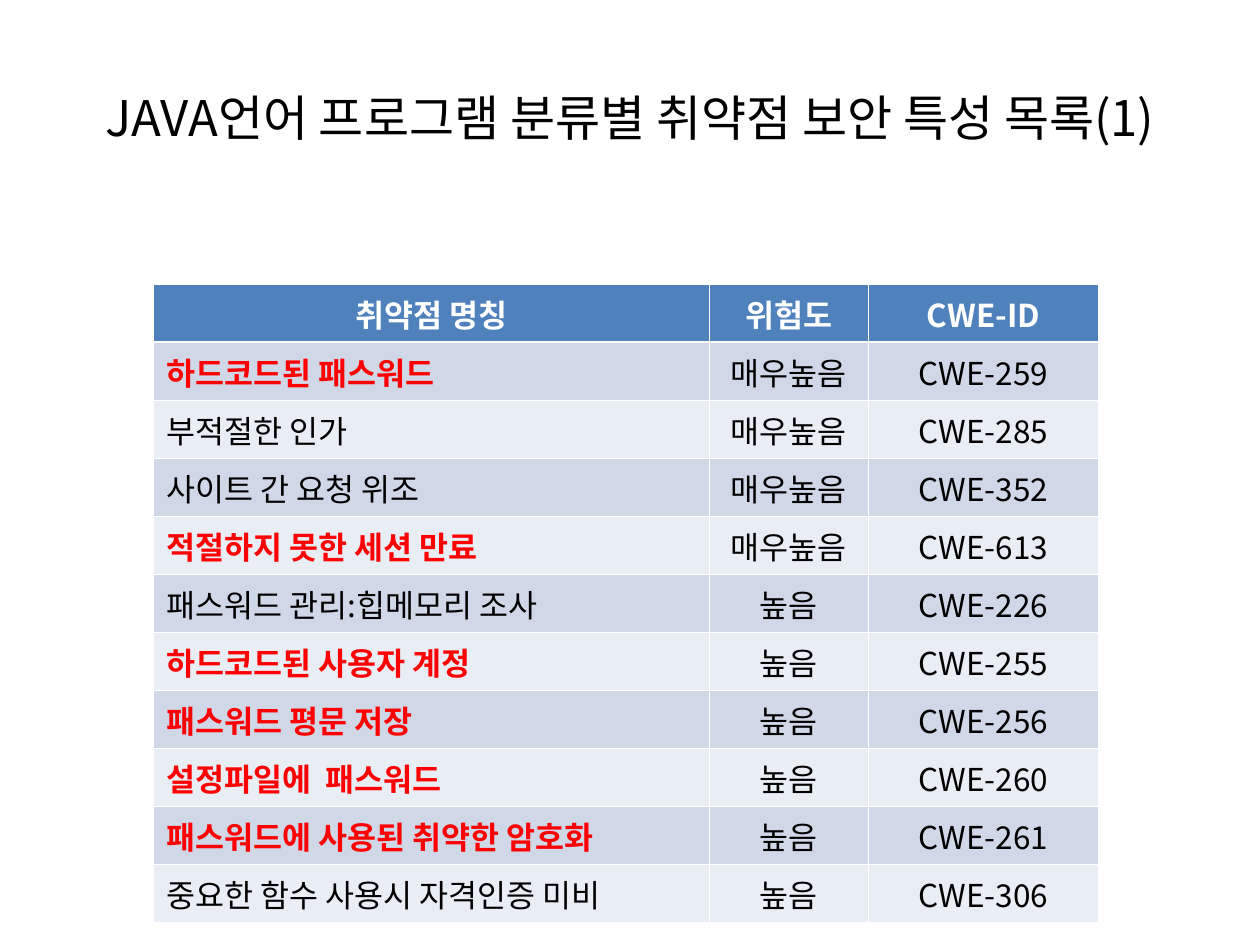
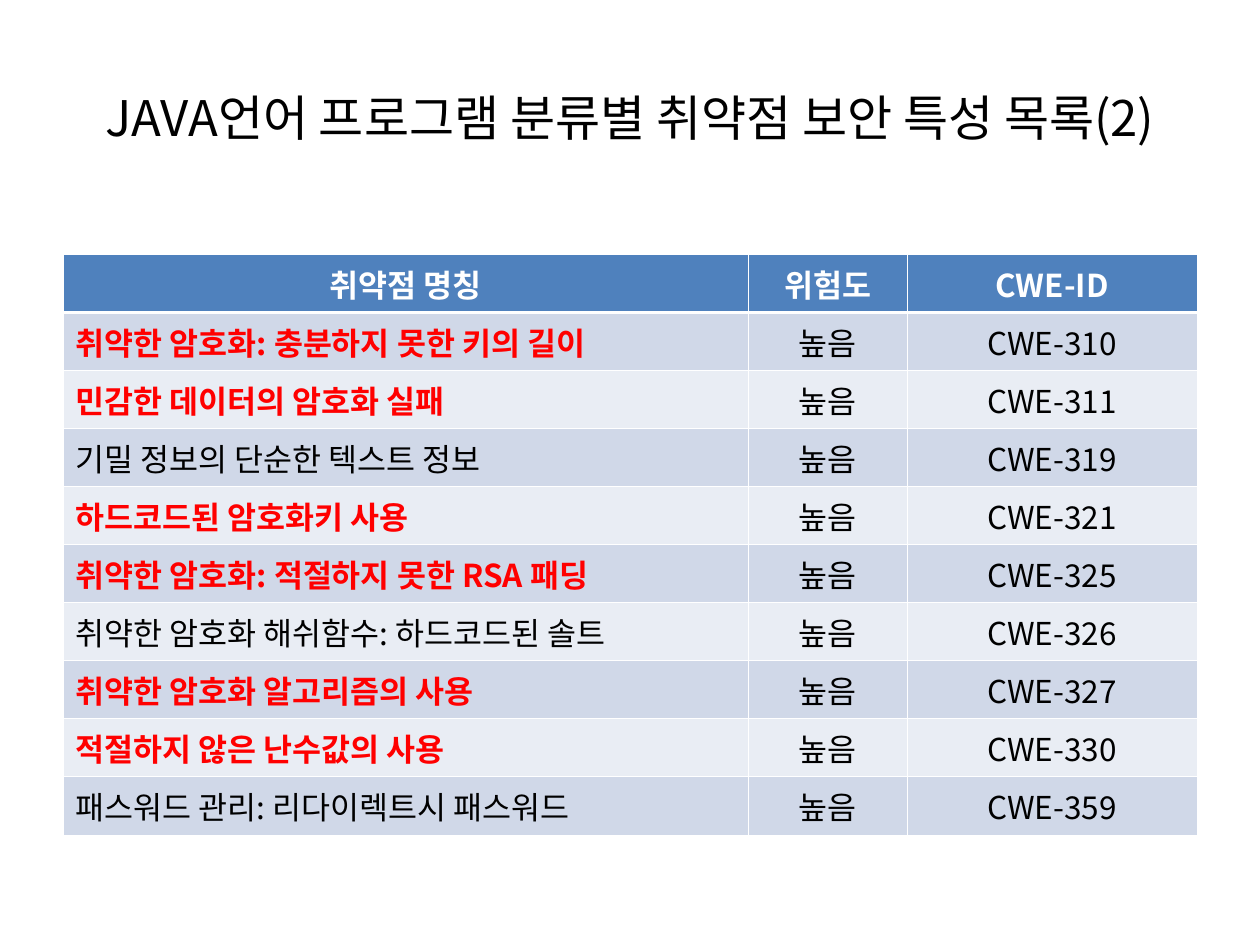
from lxml import etree
from pptx import Presentation
from pptx.dml.color import RGBColor
from pptx.enum.text import MSO_ANCHOR, PP_ALIGN
from pptx.oxml.ns import qn
from pptx.util import Cm, Pt

LEFT, CENTER = PP_ALIGN.LEFT, PP_ALIGN.CENTER
MIDDLE = MSO_ANCHOR.MIDDLE

FONT = "Noto Sans CJK KR"
BLACK = RGBColor(0x00, 0x00, 0x00)
WHITE = RGBColor(0xFF, 0xFF, 0xFF)
RED = RGBColor(0xFF, 0x00, 0x00)
HEADER_BLUE = RGBColor(0x4F, 0x81, 0xBD)
BAND_DARK = RGBColor(0xD0, 0xD8, 0xE8)
BAND_LIGHT = RGBColor(0xE9, 0xED, 0xF4)

TITLE = "JAVA언어 프로그램 분류별 취약점 보안 특성 목록({})"
HEADER = ("취약점 명칭", "위험도", "CWE-ID")
ROW_HEIGHT = 1.17
THIN, THICK = Pt(0.45), Pt(1.47)

TABLES = [
    {
        "left": 3.1, "top": 5.73, "widths": (11.2, 3.2, 4.65),
        "rows": [
            ("하드코드된 패스워드", "매우높음", "CWE-259"),
            ("부적절한 인가", "매우높음", "CWE-285"),
            ("사이트 간 요청 위조", "매우높음", "CWE-352"),
            ("적절하지 못한 세션 만료", "매우높음", "CWE-613"),
            ("패스워드 관리:힙메모리 조사", "높음", "CWE-226"),
            ("하드코드된 사용자 계정", "높음", "CWE-255"),
            ("패스워드 평문 저장", "높음", "CWE-256"),
            ("설정파일에  패스워드", "높음", "CWE-260"),
            ("패스워드에 사용된 취약한 암호화", "높음", "CWE-261"),
            ("중요한 함수 사용시 자격인증 미비", "높음", "CWE-306"),
        ],
        "highlighted": {1, 4, 6, 7, 8, 9},
    },
    {
        "left": 1.27, "top": 5.13, "widths": (13.82, 3.2, 5.84),
        "rows": [
            ("취약한 암호화: 충분하지 못한 키의 길이", "높음", "CWE-310"),
            ("민감한 데이터의 암호화 실패", "높음", "CWE-311"),
            ("기밀 정보의 단순한 텍스트 정보", "높음", "CWE-319"),
            ("하드코드된 암호화키 사용", "높음", "CWE-321"),
            ("취약한 암호화: 적절하지 못한 RSA 패딩", "높음", "CWE-325"),
            ("취약한 암호화 해쉬함수: 하드코드된 솔트", "높음", "CWE-326"),
            ("취약한 암호화 알고리즘의 사용", "높음", "CWE-327"),
            ("적절하지 않은 난수값의 사용", "높음", "CWE-330"),
            ("패스워드 관리: 리다이렉트시 패스워드", "높음", "CWE-359"),
        ],
        "highlighted": {1, 2, 4, 5, 7, 8},
    },
]


def set_text(tf, text, size, color, bold, align):
    tf.text = text
    p = tf.paragraphs[0]
    p.alignment = align
    r = p.runs[0]
    r.font.name = FONT
    r.font.size = Pt(size)
    r.font.bold = bold
    r.font.color.rgb = color


def set_borders(cell, top, bottom):
    tcPr = cell._tc.get_or_add_tcPr()
    for side, width in (("L", THIN), ("R", THIN), ("T", top), ("B", bottom)):
        ln = etree.SubElement(tcPr, qn(f"a:ln{side}"), w=str(width))
        fill = etree.SubElement(ln, qn("a:solidFill"))
        etree.SubElement(fill, qn("a:srgbClr"), val=str(WHITE))


prs = Presentation()
prs.slide_width, prs.slide_height = Cm(25.4), Cm(19.05)

for number, data in enumerate(TABLES, 1):
    s = prs.slides.add_slide(prs.slide_layouts[6])

    title = s.shapes.add_textbox(Cm(1.27), Cm(0.76), Cm(22.86), Cm(3.18))
    tf = title.text_frame
    tf.word_wrap = True
    tf.vertical_anchor = MIDDLE
    set_text(tf, TITLE.format(number), 28, BLACK, False, CENTER)

    rows = [HEADER] + data["rows"]
    widths = data["widths"]
    table = s.shapes.add_table(
        len(rows), len(widths), Cm(data["left"]), Cm(data["top"]),
        Cm(sum(widths)), Cm(ROW_HEIGHT * len(rows))).table
    for column, width in zip(table.columns, widths):
        column.width = Cm(width)

    for i, row in enumerate(rows):
        table.rows[i].height = Cm(ROW_HEIGHT)
        for j, text in enumerate(row):
            cell = table.cell(i, j)
            set_borders(cell, THICK if i == 1 else THIN,
                        THICK if i == 0 else THIN)
            cell.fill.solid()
            if i == 0:
                background, color, bold = HEADER_BLUE, WHITE, True
            else:
                background = BAND_DARK if i % 2 else BAND_LIGHT
                bold = j == 0 and i in data["highlighted"]
                color = RED if bold else BLACK
            cell.fill.fore_color.rgb = background
            align = LEFT if i and j == 0 else CENTER
            set_text(cell.text_frame, text, 18, color, bold, align)

prs.save("out.pptx")
